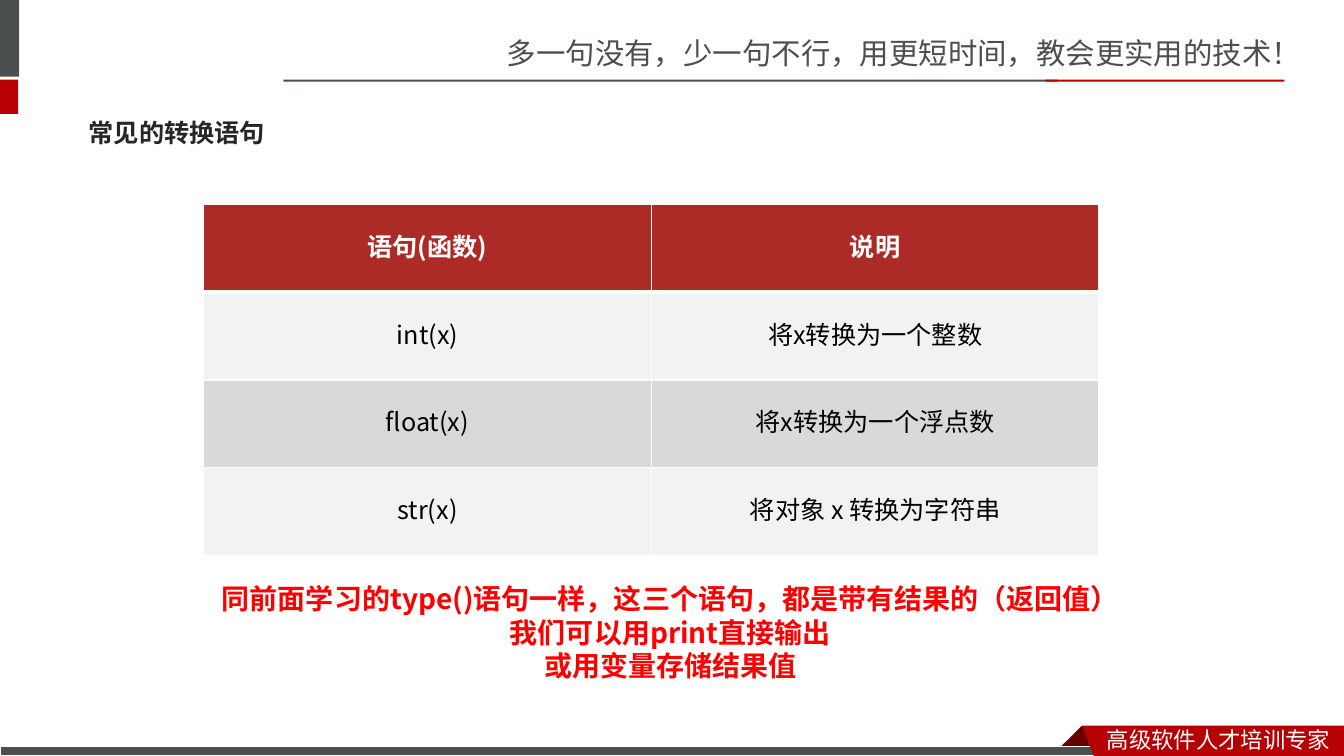
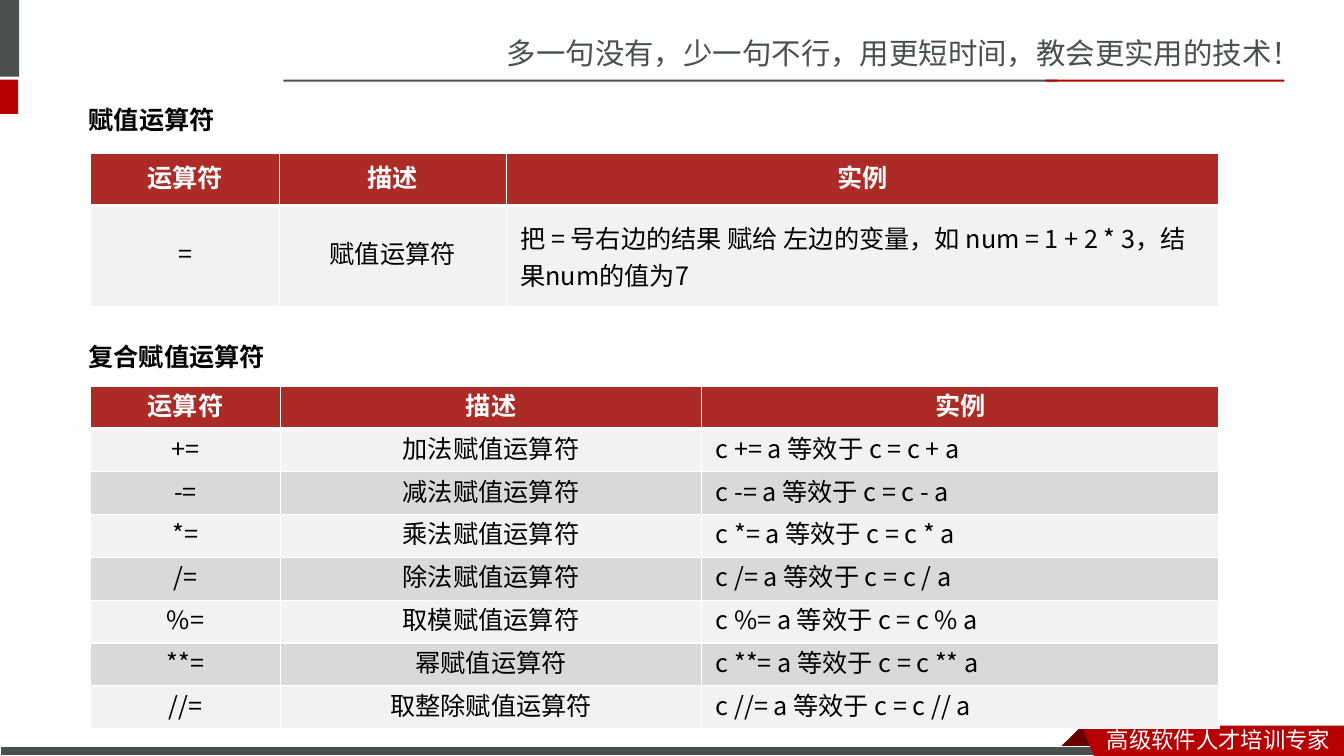
from lxml.etree import SubElement
from pptx import Presentation
from pptx.dml.color import RGBColor
from pptx.enum.shapes import MSO_SHAPE
from pptx.enum.text import MSO_ANCHOR, PP_ALIGN
from pptx.oxml.ns import qn
from pptx.util import Inches, Pt

GRAY, RED, DARK_RED, WHITE, BLACK = "49504F", "B60004", "680000", "FFFFFF", "000000"
HEADER_FILL = "AD2B26"
ROW_FILLS = ("F2F2F2", "D9D9D9")
CHINESE, TABLE_FONT, LATIN = "Noto Sans CJK SC", "Noto Sans CJK JP", "Calibri"
HEADING = {"name": LATIN, "size": Pt(18), "bold": True}


def color(value):
    return RGBColor.from_string(value)


def inches(*values):
    return [Inches(value) for value in values]


def fill(item, value):
    item.fill.solid()
    item.fill.fore_color.rgb = color(value)


def write(frame, lines, font, ink, align=PP_ALIGN.LEFT, spacing=1.2):
    for index, line in enumerate(lines):
        para = frame.paragraphs[0] if index == 0 else frame.add_paragraph()
        para.alignment = align
        para.space_before = Pt(0)
        para.line_spacing = Pt(font["size"].pt * spacing)
        span = para.add_run()
        span.text = line
        span.font.color.rgb = color(ink)
        for name, value in font.items():
            setattr(span.font, name, value)
        SubElement(span._r.get_or_add_rPr(), qn("a:ea"), typeface=CHINESE)


def add_text(page, box, lines, font, ink, align=PP_ALIGN.LEFT, anchor=MSO_ANCHOR.TOP):
    frame = page.shapes.add_textbox(*inches(*box)).text_frame
    frame.word_wrap = True
    frame.vertical_anchor = anchor
    write(frame, lines, font, ink, align)


def set_title(page, box, text, font, ink):
    title = page.shapes.title
    title.left, title.top, title.width, title.height = inches(*box)
    title.text_frame.vertical_anchor = MSO_ANCHOR.MIDDLE
    write(title.text_frame, [text], font, ink)


def add_bar(page, box, value):
    bar = page.shapes.add_shape(MSO_SHAPE.RECTANGLE, *inches(*box))
    bar.shadow.inherit = False
    fill(bar, value)
    bar.line.fill.background()
    return bar


def add_outline(page, points, value):
    corners = [inches(*point) for point in points]
    builder = page.shapes.build_freeform(*corners[0])
    builder.add_line_segments(corners[1:], close=True)
    outline = builder.convert_to_shape()
    outline.shadow.inherit = False
    fill(outline, value)
    outline.line.fill.background()


def add_header(page):
    add_text(page, (4.93, 0.3, 8.4, 0.45), ["多一句没有，少一句不行，用更短时间，教会更实用的技术！"],
             {"name": CHINESE, "size": Pt(21)}, GRAY)
    for box, value in (
        ((0, 0, 0.19, 0.76), GRAY),
        ((0, 0.79, 0.18, 0.34), RED),
        ((2.81, 0.79, 7.68, 0.02), GRAY),
        ((10.37, 0.79, 2.37, 0.02), RED),
    ):
        add_bar(page, box, value)


def add_footer(page):
    add_outline(page, [(10.73, 7.2), (10.95, 7.42), (10.94, 7.43), (10.52, 7.43), (10.51, 7.42)], DARK_RED)
    strip = add_bar(page, (0, 7.41, 10.99, 0.09), GRAY)
    strip.line.color.rgb = color(WHITE)
    strip.line.width = Pt(0.75)
    add_outline(page, [(10.73, 7.2), (13.33, 7.2), (13.33, 7.5), (10.85, 7.5)], RED)
    add_text(page, (10.88, 7.15, 2.45, 0.37), ["高级软件人才培训专家"],
             {"name": CHINESE, "size": Pt(16)}, WHITE)


def set_borders(cell, bottom):
    properties = cell._tc.get_or_add_tcPr()
    for index, side in enumerate(("lnL", "lnR", "lnT", "lnB")):
        width = Pt(bottom if side == "lnB" else 1)
        line = properties.makeelement(qn(f"a:{side}"), {"w": str(width)})
        SubElement(SubElement(line, qn("a:solidFill")), qn("a:srgbClr"), val=WHITE)
        properties.insert(index, line)


def add_grid(page, box, widths, heights, rows, header_font=LATIN, left_column=None, body_spacing=1.2):
    table = page.shapes.add_table(len(rows), len(widths), *inches(*box)).table
    table.horz_banding = False
    for column, width in zip(table.columns, widths):
        column.width = Inches(width)
    for row_index, (values, height) in enumerate(zip(rows, heights)):
        table.rows[row_index].height = Inches(height)
        is_header = row_index == 0
        font = {"name": header_font if is_header else TABLE_FONT, "size": Pt(18), "bold": is_header}
        for column_index, value in enumerate(values):
            cell = table.cell(row_index, column_index)
            cell.vertical_anchor = MSO_ANCHOR.MIDDLE
            cell.margin_left = cell.margin_right = Inches(0.14)
            cell.margin_top = cell.margin_bottom = Inches(0.06)
            fill(cell, HEADER_FILL if is_header else ROW_FILLS[(row_index - 1) % 2])
            set_borders(cell, 3 if is_header else 1)
            is_left = column_index == left_column and not is_header
            write(cell.text_frame, [value], font, WHITE if is_header else BLACK,
                  PP_ALIGN.LEFT if is_left else PP_ALIGN.CENTER,
                  body_spacing if is_left else 1.2)


def add_page(deck):
    page = deck.slides.add_slide(deck.slide_layouts[5])
    add_header(page)
    add_footer(page)
    return page


def build_conversion(deck):
    page = add_page(deck)
    set_title(page, (0.78, 1.03, 11.76, 0.57), "常见的转换语句", {**HEADING, "name": TABLE_FONT}, "262626")
    rows = [
        ("语句(函数)", "说明"),
        ("int(x)", "将x转换为一个整数"),
        ("float(x)", "将x转换为一个浮点数"),
        ("str(x)", "将对象 x 转换为字符串"),
    ]
    add_grid(page, (2.02, 2.03, 8.88, 3.48), [4.44] * 2, [0.87] * 4, rows, TABLE_FONT)
    notes = [
        "同前面学习的type()语句一样，这三个语句，都是带有结果的（返回值）",
        "我们可以用print直接输出",
        "或用变量存储结果值",
    ]
    add_text(page, (2.01, 5.72, 9.28, 1.11), notes,
             {"name": CHINESE, "size": Pt(20), "bold": True}, "FF0000", PP_ALIGN.CENTER)


def build_operators(deck):
    page = add_page(deck)
    header = ("运算符", "描述", "实例")
    set_title(page, (0.78, 0.98, 4, 0.4), "赋值运算符", HEADING, BLACK)
    rows = [header, ("=", "赋值运算符", "把 = 号右边的结果 赋给 左边的变量，如 num = 1 + 2 * 3，结果num的值为7")]
    add_grid(page, (0.9, 1.52, 11.19, 1.52), [1.87, 2.25, 7.07], [0.52, 1], rows,
             left_column=2, body_spacing=1.45)
    add_text(page, (0.78, 3.34, 4, 0.4), ["复合赋值运算符"], HEADING, BLACK, anchor=MSO_ANCHOR.MIDDLE)
    operators = {"+": "加法", "-": "减法", "*": "乘法", "/": "除法", "%": "取模", "**": "幂", "//": "取整除"}
    rows = [header] + [
        (f"{sign}=", f"{label}赋值运算符", f"c {sign}= a 等效于 c = c {sign} a")
        for sign, label in operators.items()
    ]
    add_grid(page, (0.9, 3.83, 11.19, 3.4), [1.88, 4.18, 5.13], [3.4 / len(rows)] * len(rows), rows,
             left_column=2)


def main():
    deck = Presentation()
    deck.slide_width, deck.slide_height = inches(13.33, 7.5)
    build_conversion(deck)
    build_operators(deck)
    deck.save("out.pptx")


if __name__ == "__main__":
    main()
